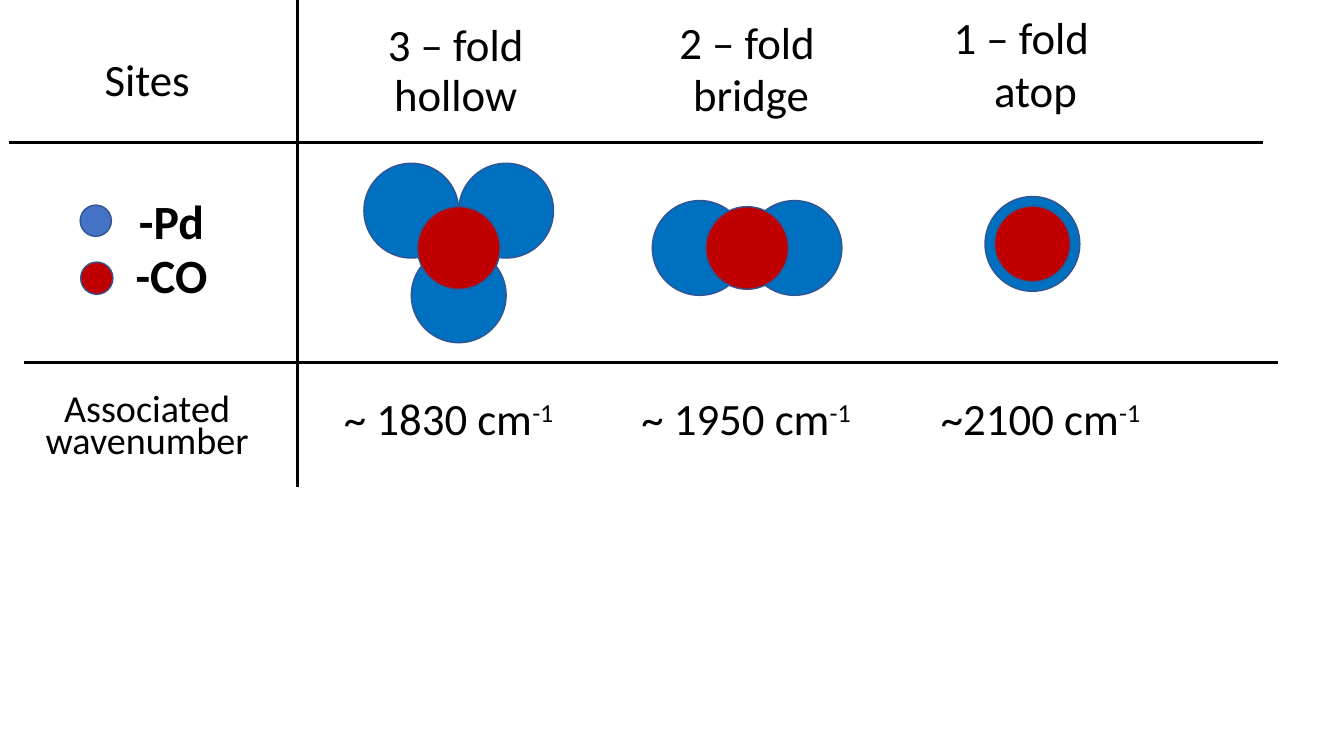
from lxml import etree
from pptx import Presentation
from pptx import util as u
from pptx.dml.color import RGBColor
from pptx.enum import shapes, text
from pptx.oxml.ns import qn

BLACK = RGBColor(0x00, 0x00, 0x00)
PD_BLUE = RGBColor(0x00, 0x70, 0xC0)
KEY_BLUE = RGBColor(0x44, 0x72, 0xC4)
CO_RED = RGBColor(0xC0, 0x00, 0x00)
OUTLINE = RGBColor(0x32, 0x54, 0x91)

# Grid: row rules, column rule and text cell size, in inches
HEADER_END, SITES_END, GRID_END = 1.41, 3.6, 4.83
LABELS_END, RULE_LENGTH = 2.95, 12.44
CELL_WIDTH, CELL_HEIGHT = 2.74, 0.78
LABEL_CENTRE, WAVENUMBER_TOP = 1.46, 3.89
PD_SIZE = 0.94
PD_RADIUS = PD_SIZE / 2

deck = Presentation()
deck.slide_width, deck.slide_height = u.Inches(13.33), u.Inches(7.5)
slide = deck.slides.add_slide(deck.slide_layouts[6])


def write(centre, top, paragraphs, size=32, spacing=0.9, bold=False,
          width=CELL_WIDTH, height=CELL_HEIGHT):
    """Centred text; each paragraph is a list of (words, baseline) runs."""
    cell = slide.shapes.add_textbox(u.Inches(centre - width / 2), u.Inches(top),
                                    u.Inches(width), u.Inches(height))
    frame = cell.text_frame
    frame.word_wrap = True
    for i, runs in enumerate(paragraphs):
        paragraph = frame.add_paragraph() if i else frame.paragraphs[0]
        paragraph.alignment = text.PP_ALIGN.CENTER
        paragraph.line_spacing = spacing
        paragraph.space_before = u.Pt(10)
        for words, baseline in runs:
            run = paragraph.add_run()
            run.text = words
            run.font.name, run.font.size = "Calibri", u.Pt(size)
            run.font.bold, run.font.color.rgb = bold, BLACK
            if baseline:
                run.font._element.set("baseline", str(baseline * 1000))


def draw_atom(x, y, size, color):
    atom = slide.shapes.add_shape(
        shapes.MSO_SHAPE.OVAL, u.Inches(x - size / 2), u.Inches(y - size / 2),
        u.Inches(size), u.Inches(size))
    atom.shadow.inherit = False
    atom.fill.solid()
    atom.fill.fore_color.rgb = color
    atom.line.color.rgb, atom.line.width = OUTLINE, u.Pt(1)


# Row labels
write(LABEL_CENTRE, 0.52, [[("Sites", 0)]])
write(LABEL_CENTRE, WAVENUMBER_TOP, [[("Associated wavenumber", 0)]],
      size=27.2, spacing=0.7)

# Key to the atoms
write(1.7, 2.01, [[("-Pd", 0)], [("-CO", 0)]], size=34.1, spacing=0.7,
      bold=True, width=0.92, height=1.09)
draw_atom(0.95, 2.19, 0.31, KEY_BLUE)
draw_atom(0.96, 2.76, 0.32, CO_RED)

# Sites: (words, centre, top) of fold and name, (words, centre) of wavenumber,
# CO (x, y, size), Pd offsets from CO
sites = [
    (("3 – fold", 4.52, 0.18), ("hollow", 4.52, 0.67), ("~ 1830 cm", 4.45),
     (4.55, 2.46, 0.82),
     [(PD_RADIUS, -0.37), (-PD_RADIUS, -0.37), (0, PD_RADIUS)]),
    (("2 – fold", 7.41, 0.16), ("bridge", 7.45, 0.67), ("~ 1950 cm", 7.4),
     (7.41, 2.46, 0.82), [(-PD_RADIUS, 0), (PD_RADIUS, 0)]),
    (("1 – fold", 10.13, 0.11), ("atop", 10.27, 0.63), ("~2100 cm", 10.32),
     (10.24, 2.42, 0.75), [(0, 0)]),
]
for fold, name, (wavenumber, wave_centre), (x, y, co_size), pd_offsets in sites:
    for words, centre, top in (fold, name):
        write(centre, top, [[(words, 0)]])
    for dx, dy in pd_offsets:
        draw_atom(x + dx, y + dy, PD_SIZE, PD_BLUE)
    draw_atom(x, y, co_size, CO_RED)
    write(wave_centre, WAVENUMBER_TOP, [[(wavenumber, 0), ("-1", 30)]])

# Grid rules
for ends in [(LABELS_END, 0, LABELS_END, GRID_END),
             (0.09, HEADER_END, 0.09 + RULE_LENGTH, HEADER_END),
             (0.24, SITES_END, 0.24 + RULE_LENGTH, SITES_END)]:
    rule = slide.shapes.add_connector(shapes.MSO_CONNECTOR.STRAIGHT,
                                      *[u.Inches(end) for end in ends])
    rule.line.color.rgb, rule.line.width = BLACK, u.Pt(2.25)
    etree.SubElement(rule._element.spPr, qn("a:effectLst"))

deck.save("out.pptx")
